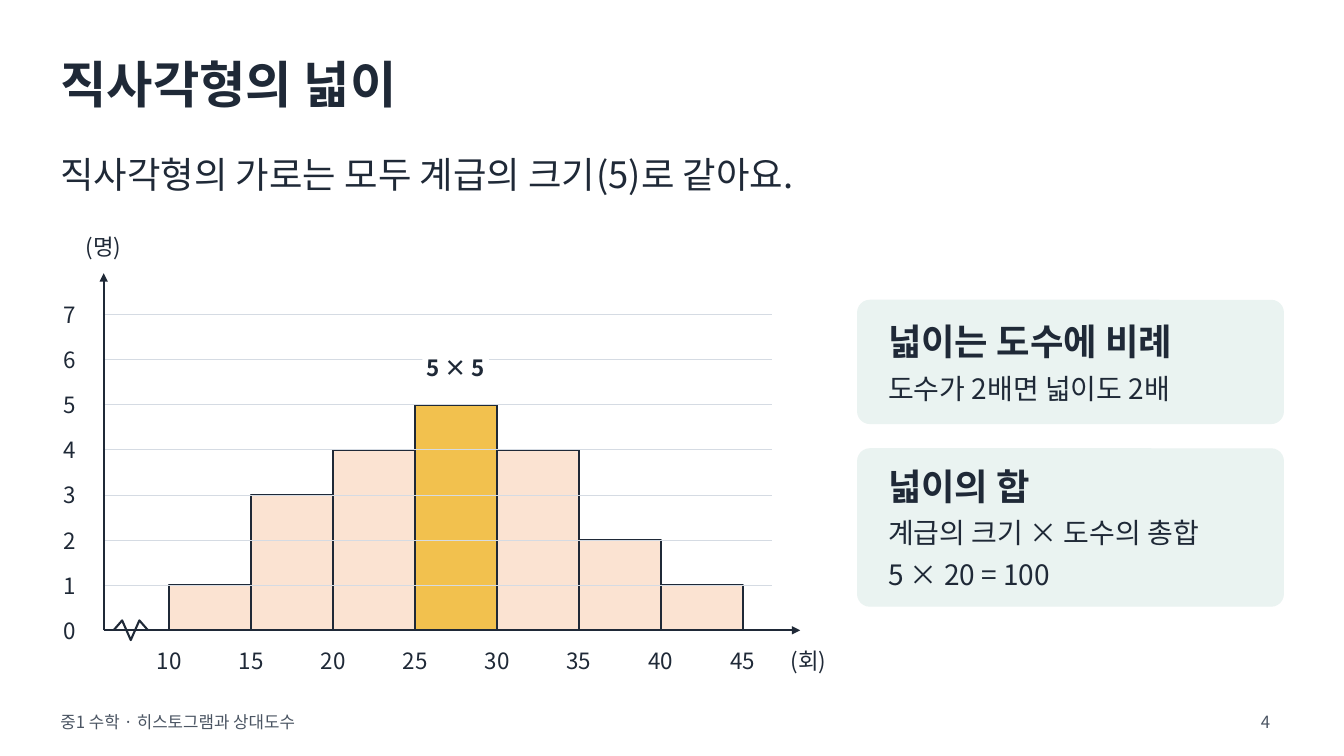
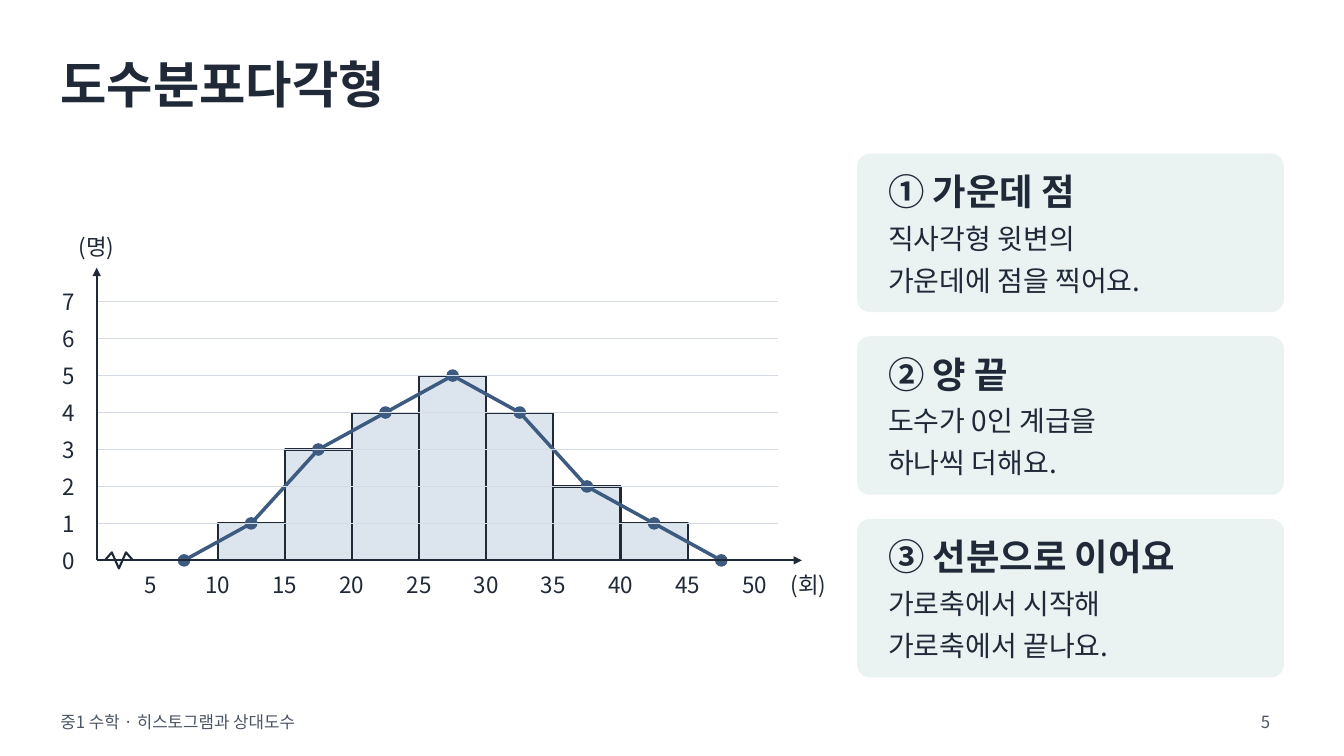
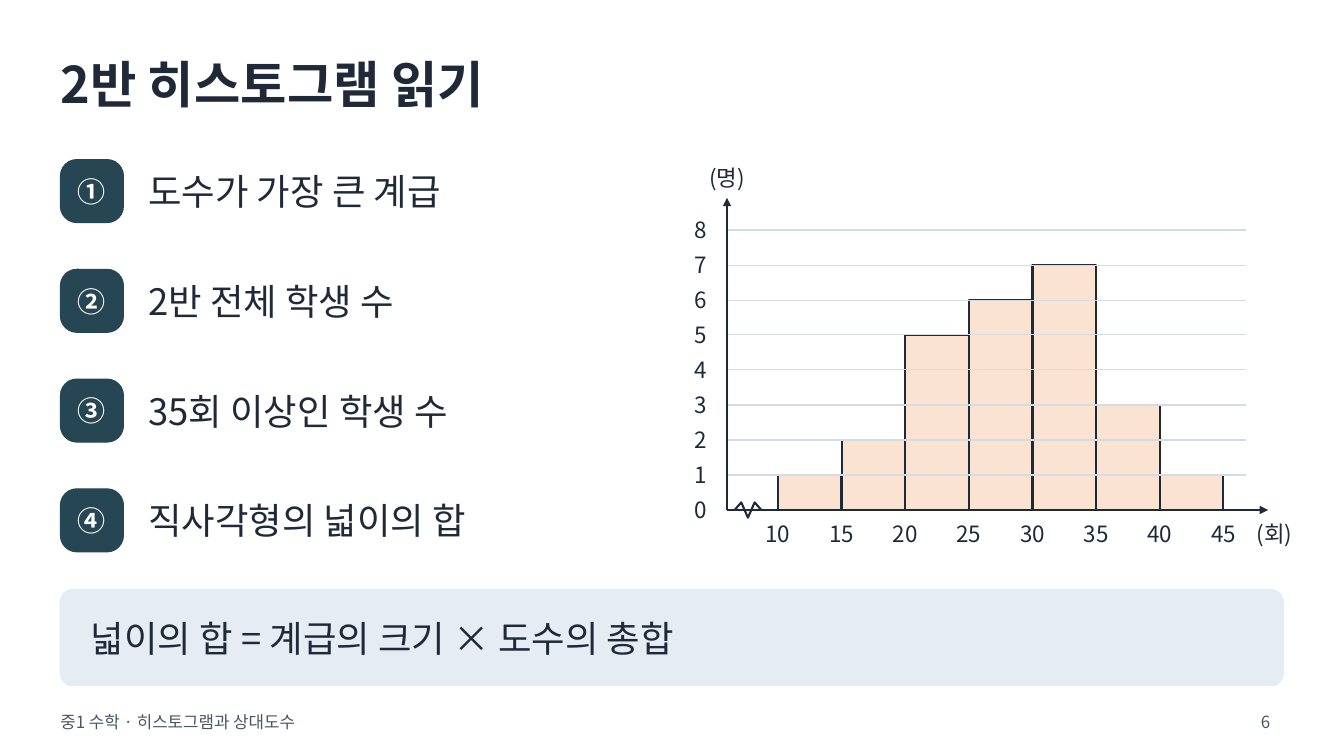
from lxml import etree
from pptx import Presentation
from pptx.dml.color import RGBColor
from pptx.enum.shapes import MSO_CONNECTOR, MSO_SHAPE
from pptx.enum.text import MSO_ANCHOR, PP_ALIGN
from pptx.oxml.ns import qn
from pptx.util import Pt

FONT = "Noto Sans CJK KR"
FOOTER = "중1 수학 · 히스토그램과 상대도수"
COLORS = {
    "ink": "1F2937", "muted": "4B5563", "grid": "D5DBE3", "white": "FFFFFF",
    "peach": "FBE3D2", "gold": "F2C14E", "pale": "DCE4EE", "blue": "3D5A80",
    "mint": "EAF3F1", "ice": "E6ECF4", "teal": "264653",
}
LEFT, CONTENT_WIDTH = 43.2, 873.4
CARD_LEFT, CARD_WIDTH, CARD_GAP = 612.7, 303.9, 18.3
CORNER, PADDING = 8.64, 21.6
LABEL_HEIGHT = 20


def paint(shape, fill=None, line=None, width=1):
    """Give a shape a plain fill and outline, without shadow."""
    shape.shadow.inherit = False
    if fill:
        shape.fill.solid()
        shape.fill.fore_color.rgb = RGBColor.from_string(COLORS[fill])
    else:
        shape.fill.background()
    if line:
        shape.line.color.rgb = RGBColor.from_string(COLORS[line])
        shape.line.width = Pt(width)
    else:
        shape.line.fill.background()
    return shape


def write(shape, lines, color="ink", align=PP_ALIGN.LEFT, gap=0):
    """Fill a shape with (text, size, bold) lines, centred vertically."""
    frame = shape.text_frame
    frame.word_wrap = True
    frame.vertical_anchor = MSO_ANCHOR.MIDDLE
    frame.margin_left = frame.margin_right = 0
    frame.margin_top = frame.margin_bottom = 0
    for i, (text, size, bold) in enumerate(lines):
        paragraph = frame.add_paragraph() if i else frame.paragraphs[0]
        paragraph.alignment = align
        paragraph.space_after = Pt(gap)
        run = paragraph.add_run()
        run.text = text
        run.font.name, run.font.size, run.font.bold = FONT, Pt(size), bold
        run.font.color.rgb = RGBColor.from_string(COLORS[color])
        east_asian = etree.SubElement(run.font._element, qn("a:ea"))
        east_asian.set("typeface", FONT)
    return shape


# Each chart: axis corner, width of a class, height of one count, tick range.
lessons = [
    {"title": "직사각형의 넓이", "corner": (74.1, 450.2), "step": 58.53,
     "unit": 32.2, "top": 7, "ticks": (10, 45), "counts": [1, 3, 4, 5, 4, 2, 1],
     "fill": "peach", "highlight": 3, "polygon": False, "cards_top": 214.6,
     "cards": [["넓이는 도수에 비례", "도수가 2배면 넓이도 2배"],
               ["넓이의 합", "계급의 크기 × 도수의 총합", "5 × 20 = 100"]]},
    {"title": "도수분포다각형", "corner": (69.1, 400.3), "step": 47.97,
     "unit": 26.4, "top": 7, "ticks": (5, 50), "counts": [1, 3, 4, 5, 4, 2, 1],
     "fill": "pale", "highlight": None, "polygon": True, "cards_top": 110.2,
     "cards": [["① 가운데 점", "직사각형 윗변의", "가운데에 점을 찍어요."],
               ["② 양 끝", "도수가 0인 계급을", "하나씩 더해요."],
               ["③ 선분으로 이어요", "가로축에서 시작해", "가로축에서 끝나요."]]},
    {"title": "2반 히스토그램 읽기", "corner": (519.3, 364.3), "step": 45.47,
     "unit": 25, "top": 8, "ticks": (10, 45), "counts": [1, 2, 5, 6, 7, 3, 1],
     "fill": "peach", "highlight": None, "polygon": False, "cards_top": 0,
     "cards": []},
]

deck = Presentation()
deck.slide_width, deck.slide_height = Pt(960), Pt(540)
slides = []

for number, lesson in enumerate(lessons, start=4):
    slide = deck.slides.add_slide(deck.slide_layouts[6])
    slides.append(slide)
    shapes = slide.shapes
    write(shapes.add_textbox(Pt(LEFT), Pt(502.6), Pt(684), Pt(25.2)),
          [(FOOTER, 12, False)], "muted")
    write(shapes.add_textbox(Pt(LEFT), Pt(25.2), Pt(871.2), Pt(68.4)),
          [(lesson["title"], 36, True)])
    page = write(shapes.add_textbox(Pt(856.8), Pt(502.6), Pt(57.6), Pt(25.2)),
                 [(str(number), 12, False)], "muted", PP_ALIGN.RIGHT)
    page.text_frame.margin_right = Pt(7.2)

    # Scale: the first tick stands 0.8 of a class right of the vertical axis.
    axis_x, base = lesson["corner"]
    step, unit = lesson["step"], lesson["unit"]
    first, last = lesson["ticks"]
    tick_x = {v: axis_x + ((v - first) / 5 + 0.8) * step
              for v in range(first, last + 1, 5)}
    level_y = [base - n * unit for n in range(lesson["top"] + 1)]
    axis_end, axis_top = tick_x[last] + 0.7 * step, level_y[-1] - 0.92 * unit

    # Axis break
    wave = [(axis_x + (0.12 + 0.105 * i) * step, base + dy * step)
            for i, dy in enumerate([0, -0.12, 0.12, -0.12, 0])]
    paths = [(wave, "ink", 1.5)]

    # Frequency polygon, with an empty class at both ends
    dots = []
    if lesson["polygon"]:
        dots = [(tick_x[10] + (i - 0.5) * step, level_y[count])
                for i, count in enumerate([0, *lesson["counts"], 0])]
        paths.append((dots, "blue", 2.5))

    for i, count in enumerate(lesson["counts"]):
        bar = shapes.add_shape(MSO_SHAPE.RECTANGLE, Pt(tick_x[10 + 5 * i]),
                               Pt(level_y[count]), Pt(step), Pt(count * unit))
        fill = "gold" if i == lesson["highlight"] else lesson["fill"]
        paint(bar, fill, "ink", 1.5)
    for points, color, width in paths:
        points = [(Pt(x), Pt(y)) for x, y in points]
        outline = shapes.build_freeform(*points[0], scale=1.0)
        outline.add_line_segments(points[1:], close=False)
        paint(outline.convert_to_shape(), None, color, width)
    for x, y in dots:
        paint(shapes.add_shape(MSO_SHAPE.OVAL, Pt(x - 4), Pt(y - 4), Pt(8), Pt(8)),
              "blue", "blue")

    # Grid lines, then the two axes
    rules = [(tick_x[last] + 0.35 * step, y, y, "grid", 0.75) for y in level_y[1:]]
    rules += [(axis_end, base, base, "ink", 1.5), (axis_x, base, axis_top, "ink", 1.5)]
    for end_x, start_y, end_y, color, width in rules:
        rule = shapes.add_connector(MSO_CONNECTOR.STRAIGHT, Pt(axis_x), Pt(start_y),
                                    Pt(end_x), Pt(end_y))
        rule.line.color.rgb = RGBColor.from_string(COLORS[color])
        rule.line.width = Pt(width)
        if color == "ink":
            etree.SubElement(rule.line._get_or_add_ln(), qn("a:tailEnd"), type="triangle")
        etree.SubElement(rule._element.spPr, qn("a:effectLst"))

    # Labels: text, centre and width
    tick_y = base + 0.366 * step
    labels = [(str(n), axis_x - 0.42 * step, y, 19.6) for n, y in enumerate(level_y)]
    labels += [(str(v), x, tick_y, 29.2 if v > 9 else 19.6) for v, x in tick_x.items()]
    labels += [("(회)", axis_end + 0.1 * step, tick_y, 43.2),
               ("(명)", axis_x, axis_top - 0.32 * step, 43.2)]
    for text, x, y, width in labels:
        write(shapes.add_textbox(Pt(x - width / 2), Pt(y - LABEL_HEIGHT / 2),
                                 Pt(width), Pt(LABEL_HEIGHT)),
              [(text, 16, False)], align=PP_ALIGN.CENTER)

    card_top = lesson["cards_top"]
    for heading, *body in lesson["cards"]:
        height = 63.4 + 24.4 * len(body)
        card = shapes.add_shape(MSO_SHAPE.ROUNDED_RECTANGLE, Pt(CARD_LEFT),
                                Pt(card_top), Pt(CARD_WIDTH), Pt(height))
        card.adjustments[0] = CORNER / height
        paint(card, "mint", "mint")
        write(shapes.add_textbox(Pt(CARD_LEFT + PADDING), Pt(card_top + PADDING / 2),
                                 Pt(CARD_WIDTH - 2 * PADDING), Pt(height - PADDING)),
              [(heading, 26, True)] + [(line, 20, False) for line in body], gap=6)
        card_top += height + CARD_GAP

area_slide, _, reading_slide = slides

# Area slide: lead sentence and the product above the tallest bar
write(area_slide.shapes.add_textbox(Pt(LEFT), Pt(104.4), Pt(CONTENT_WIDTH), Pt(39.6)),
      [("직사각형의 가로는 모두 계급의 크기(5)로 같아요.", 26, False)])
paint(area_slide.shapes.add_shape(MSO_SHAPE.RECTANGLE, Pt(301.7), Pt(254.9),
                                  Pt(47.5), Pt(15.8)), "white")
write(area_slide.shapes.add_textbox(Pt(298.1), Pt(252.8), Pt(54.7), Pt(LABEL_HEIGHT)),
      [("5 × 5", 16, True)], align=PP_ALIGN.CENTER)

# Reading slide: numbered questions and the formula band
questions = ["도수가 가장 큰 계급", "2반 전체 학생 수",
             "35회 이상인 학생 수", "직사각형의 넓이의 합"]
for i, (mark, question) in enumerate(zip("①②③④", questions)):
    row_top = 104.4 + 78.4 * i
    badge = reading_slide.shapes.add_shape(MSO_SHAPE.ROUNDED_RECTANGLE, Pt(LEFT),
                                           Pt(row_top + 9.6), Pt(45), Pt(45))
    badge.adjustments[0] = 0.26
    paint(badge, "teal", "teal", 0.75)
    write(badge, [(mark, 20, True)], "white", PP_ALIGN.CENTER)
    write(reading_slide.shapes.add_textbox(Pt(106), Pt(row_top), Pt(360), Pt(64.2)),
          [(question, 26, False)])

band = reading_slide.shapes.add_shape(MSO_SHAPE.ROUNDED_RECTANGLE, Pt(LEFT), Pt(421.2),
                                      Pt(CONTENT_WIDTH), Pt(68.4))
band.adjustments[0] = CORNER / 68.4
paint(band, "ice", "ice")
write(reading_slide.shapes.add_textbox(Pt(LEFT + PADDING), Pt(432), Pt(830.2), Pt(46.8)),
      [("넓이의 합 = 계급의 크기 × 도수의 총합", 26, False)], gap=6)

deck.save("out.pptx")
